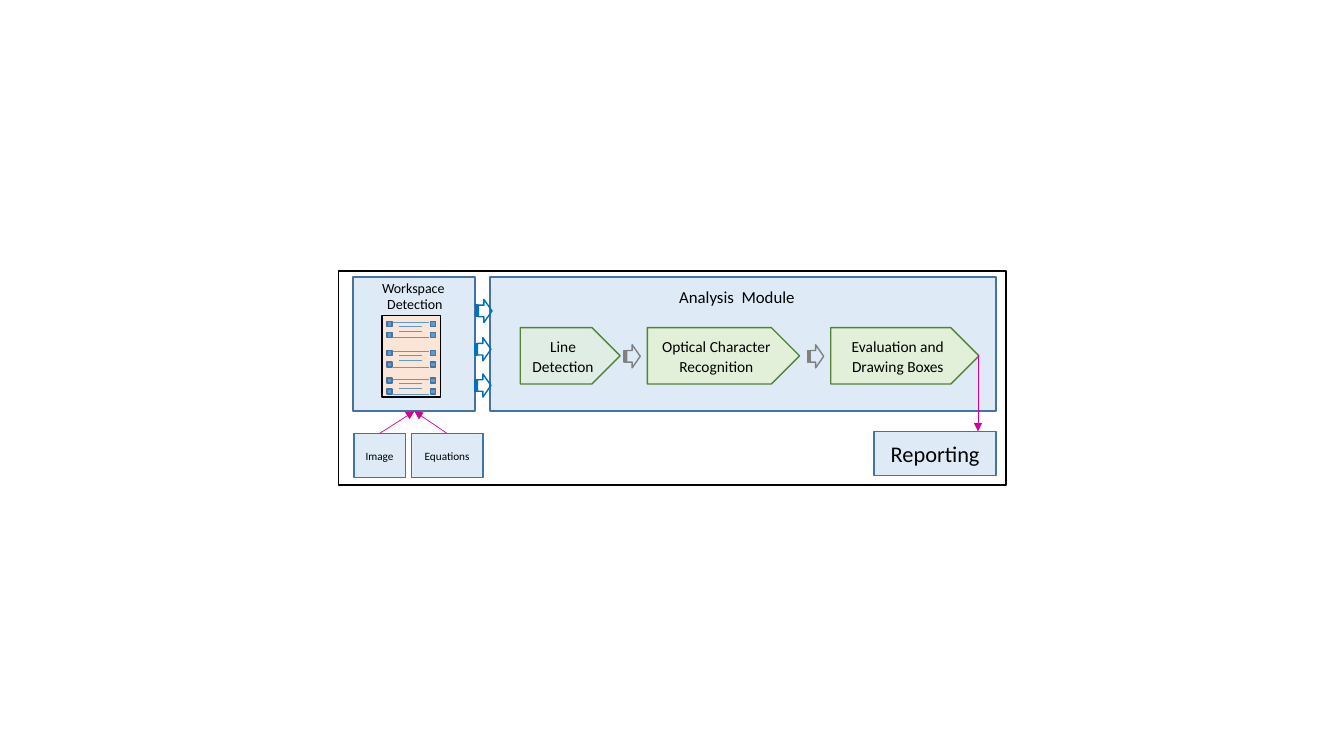
from collections import namedtuple

import lxml.etree
import pptx
import pptx.dml.color
import pptx.enum.shapes
import pptx.enum.text
import pptx.oxml.ns
import pptx.util

Inches = pptx.util.Inches
Pt = pptx.util.Pt
RGBColor = pptx.dml.color.RGBColor
SHAPES = pptx.enum.shapes.MSO_SHAPE
TEXT = pptx.enum.text

BLACK = RGBColor(0x00, 0x00, 0x00)
PALE_BLUE = RGBColor(0xDE, 0xEB, 0xF7)
STEEL = RGBColor(0x43, 0x73, 0x9E)
SKY = RGBColor(0x5B, 0x9B, 0xD5)
PALE_GREEN = RGBColor(0xE2, 0xF0, 0xD9)
GREEN = RGBColor(0x54, 0x82, 0x35)
PEACH = RGBColor(0xFB, 0xE5, 0xD6)
GRAY = RGBColor(0x80, 0x80, 0x80)
BLUE = RGBColor(0x00, 0x70, 0xC0)
MAGENTA = RGBColor(0xD6, 0x00, 0x93)

FONT = "Calibri"
Box = namedtuple("Box", "left top width height")


def inside(box, left, top, width, height):
    return Box(box.left + left, box.top + top, width, height)


def write_text(shape, text, size):
    frame = shape.text_frame
    frame.text = text
    for para in frame.paragraphs:
        para.alignment = TEXT.PP_ALIGN.CENTER
        for span in para.runs:
            span.font.name = FONT
            span.font.size = Pt(size)
            span.font.color.rgb = BLACK
    return frame


def add_block(page, kind, box, fill, line, text="", size=8):
    shape = page.shapes.add_shape(kind, *map(Inches, box))
    shape.shadow.inherit = False
    if fill is None:
        shape.fill.background()
    else:
        shape.fill.solid()
        shape.fill.fore_color.rgb = fill
    shape.line.color.rgb = line
    shape.line.width = Pt(1)
    if text:
        frame = write_text(shape, text, size)
        frame.word_wrap = True
        frame.vertical_anchor = TEXT.MSO_ANCHOR.MIDDLE
    return shape


def add_title(page, box, text, size):
    label = page.shapes.add_textbox(*map(Inches, box))
    frame = write_text(label, text, size)
    frame.word_wrap = False
    frame.auto_size = TEXT.MSO_AUTO_SIZE.SHAPE_TO_FIT_TEXT


def add_element(parent, tag, **attributes):
    lxml.etree.SubElement(parent, pptx.oxml.ns.qn(tag), attributes)


def add_line(page, start, end, color, arrow=False):
    connector = page.shapes.add_connector(
        pptx.enum.shapes.MSO_CONNECTOR.STRAIGHT, *map(Inches, start + end))
    connector.line.color.rgb = color
    connector.line.width = Pt(0.5)
    properties = connector._element.spPr
    if arrow:
        add_element(properties.find(pptx.oxml.ns.qn("a:ln")), "a:tailEnd", type="triangle")
    add_element(properties, "a:effectLst")


def set_opacity(shape, percent):
    color = shape._element.spPr.find(".//" + pptx.oxml.ns.qn("a:srgbClr"))
    add_element(color, "a:alpha", val=str(percent * 1000))


def draw_analysis(page, box):
    add_block(page, SHAPES.RECTANGLE, box, PALE_BLUE, STEEL)
    add_title(page, inside(box, 1.77, 0.05, 1.36, 0.3), "Analysis  Module", 12)
    steps = [
        (0.3, 0.99, "Line Detection"),
        (1.56, 1.51, "Optical Character Recognition"),
        (3.38, 1.47, "Evaluation and Drawing Boxes"),
    ]
    pentagons = []
    for left, width, text in steps:
        pentagon = add_block(page, SHAPES.PENTAGON, inside(box, left, 0.5, width, 0.56),
                             PALE_GREEN, GREEN, text, 11)
        para = pentagon.text_frame.paragraphs[0]
        para.line_spacing = 1.07
        para.space_after = Pt(8)
        pentagons.append(pentagon)
    set_opacity(pentagons[0], 57)
    for left in (1.33, 3.15):
        add_block(page, SHAPES.STRIPED_RIGHT_ARROW, inside(box, left, 0.67, 0.16, 0.23),
                  None, GRAY)


def draw_text_lines(page, box):
    for left in (0, box.width - 0.05):
        for top in (0, 0.11):
            add_block(page, SHAPES.RECTANGLE, inside(box, left, top, 0.05, 0.05), SKY, STEEL)
    for indent, right, top in ((0.06, 0.41, 0.01), (0.12, 0.35, 0.05),
                               (0.12, 0.35, 0.1), (0.06, 0.41, 0.16)):
        add_line(page, (box.left + indent, box.top + top),
                 (box.left + right, box.top + top), SKY)


def draw_workspace(page, box):
    add_block(page, SHAPES.RECTANGLE, box, PALE_BLUE, STEEL)
    add_block(page, SHAPES.RECTANGLE, inside(box, 0.29, 0.38, 0.58, 0.81), PEACH, BLACK)
    add_title(page, inside(box, 0.18, -0.03, 0.87, 0.44), "Workspace \nDetection", 10)
    for top in (0.44, 0.73, 1.0):
        draw_text_lines(page, inside(box, 0.34, top, 0.48, 0.16))


def draw_handover(page, box):
    for left, top in ((0.01, 0.22), (0, 0.6), (0, 0.96)):
        add_block(page, SHAPES.STRIPED_RIGHT_ARROW, inside(box, left, top, 0.16, 0.23),
                  None, BLUE)


def draw_inputs(page, box):
    target = (box.left + 0.6, box.top - 0.22)
    for left, width, text in ((0, 0.51, "Image"), (0.57, 0.71, "Equations")):
        part = inside(box, left, 0, width, box.height)
        add_block(page, SHAPES.RECTANGLE, part, PALE_BLUE, STEEL, text, 8)
        add_line(page, (part.left + width / 2, part.top), target, MAGENTA, arrow=True)


def draw_reporting(page, box):
    add_block(page, SHAPES.RECTANGLE, box, PALE_BLUE, STEEL, "Reporting", 16)
    across = box.left + 1.03
    add_line(page, (across, box.top - 0.76), (across, box.top), MAGENTA, arrow=True)


def draw_pipeline(page, box):
    draw_analysis(page, inside(box, 1.5, 0.06, 5.02, 1.33))
    add_block(page, SHAPES.RECTANGLE, box, None, BLACK)
    draw_workspace(page, inside(box, 0.14, 0.06, 1.21, 1.33))
    draw_handover(page, inside(box, 1.35, 0.06, 0.17, 1.33))
    draw_inputs(page, inside(box, 0.15, 1.61, 1.28, 0.44))
    draw_reporting(page, inside(box, 5.31, 1.59, 1.21, 0.44))


deck = pptx.Presentation()
deck.slide_width = Inches(13.33)
deck.slide_height = Inches(7.5)
page = deck.slides.add_slide(deck.slide_layouts[6])
draw_pipeline(page, Box(3.36, 2.69, 6.62, 2.12))
deck.save("out.pptx")
